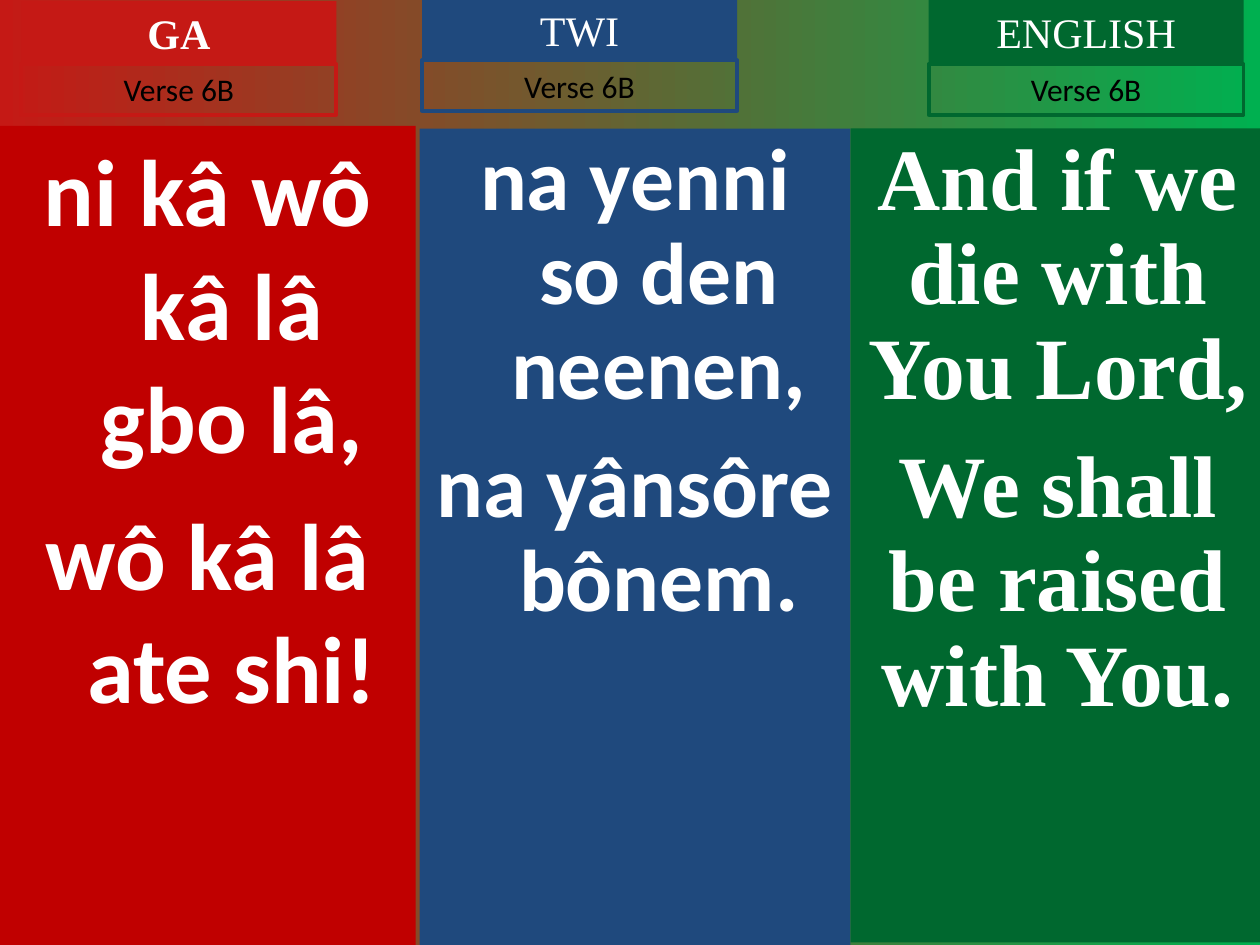
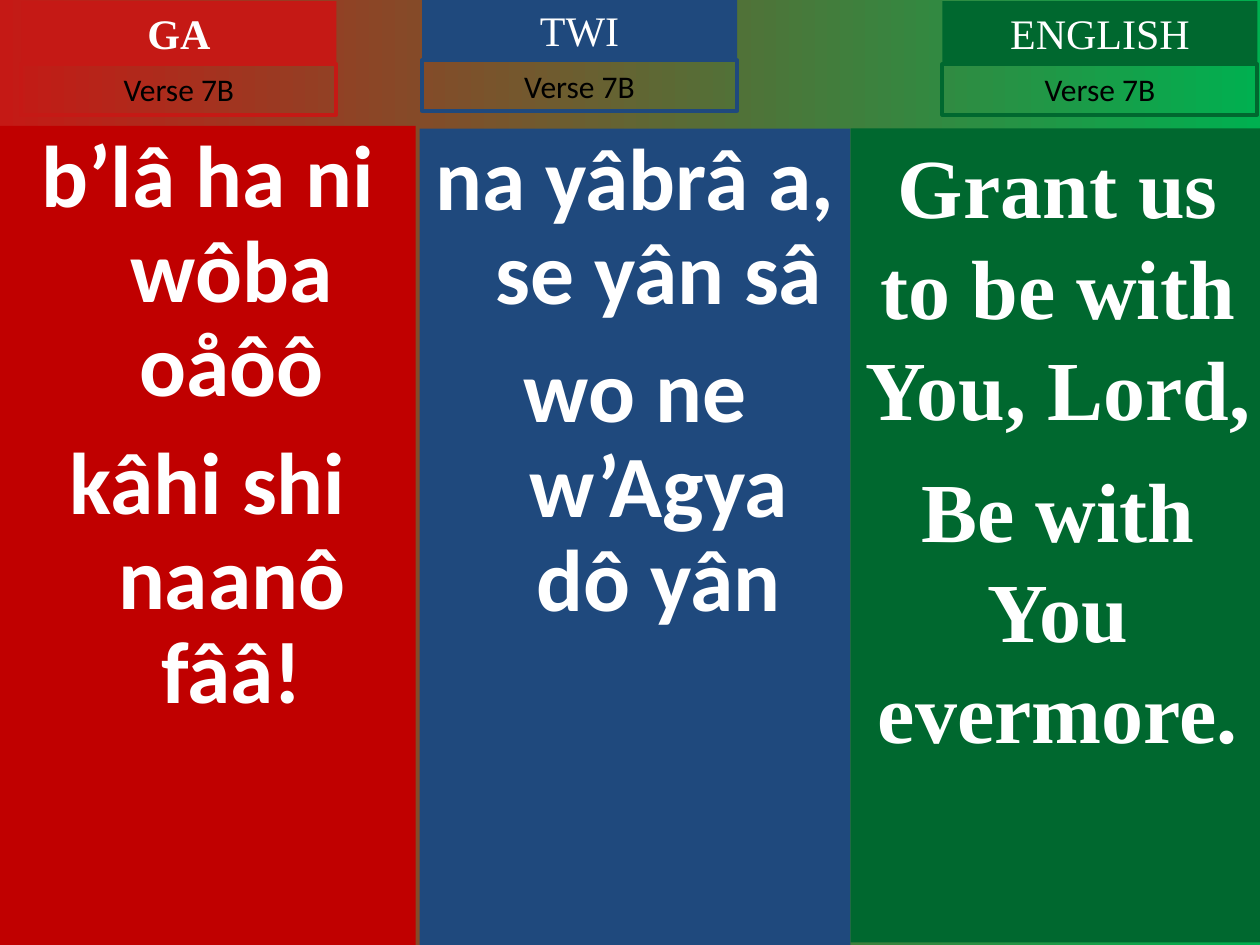
from dataclasses import dataclass

from pptx import Presentation
from pptx.dml.color import RGBColor
from pptx.enum.shapes import MSO_SHAPE
from pptx.enum.text import MSO_ANCHOR, MSO_AUTO_SIZE, PP_ALIGN
from pptx.shapes.autoshape import Shape
from pptx.slide import Slide
from pptx.util import Inches, Pt


@dataclass(frozen=True)
class Theme:
    red: str = "C51915"
    deep_red: str = "C00000"
    blue: str = "1F497D"
    green: str = "00682F"
    bright_green: str = "00B050"
    white: str = "FFFFFF"
    black: str = "000000"
    sans: str = "Calibri"
    serif: str = "Times New Roman"
    heading_size: int = 24
    label_size: int = 18
    border: float = 2.25


THEME = Theme()


@dataclass(frozen=True)
class Box:
    left: float
    top: float
    width: float
    height: float


@dataclass(frozen=True)
class TextStyle:
    font: str
    size: float
    color: str
    bold: bool = False
    hanging: float = 0
    line_spacing: float = 1.0
    space_before: float = 0


@dataclass(frozen=True)
class Language:
    name: str
    panel: Box
    panel_color: str
    tab_color: str
    tab_left: float
    tab_top: float
    label_top: float
    font: str = THEME.sans
    hanging: float = 0
    bold_heading: bool = False


@dataclass(frozen=True)
class Lyrics:
    lines: tuple[str, ...]
    size: int = 50
    line_spacing: float = 0.9
    space_before: float = 13.5


@dataclass(frozen=True)
class Verse:
    label: str
    lyrics: tuple[Lyrics, ...]
    english_left: float
    english_top: float


GA = Language("GA", Box(0, 1, 3.3, 6.5), THEME.deep_red, THEME.red,
              0.17, 0.01, 0.51, hanging=0.38, bold_heading=True)
TWI = Language("TWI", Box(3.33, 1.02, 3.42, 6.48), THEME.blue, THEME.blue,
               3.35, -0.01, 0.48, hanging=0.38)
TAB_WIDTH, TAB_HEIGHT, LABEL_HEIGHT = 2.5, 0.5, 0.4


def english(left: float, top: float) -> Language:
    return Language("ENGLISH", Box(6.75, 1.02, 3.29, 6.46), THEME.green, THEME.green,
                    left, top, 0.51, font=THEME.serif)


VERSES = (
    Verse("Verse 6B", (
        Lyrics(("ni kâ wô kâ lâ gbo lâ,", "wô kâ lâ ate shi!"), 54, 1.0),
        Lyrics(("na yenni so den neenen,", "na yânsôre bônem.")),
        Lyrics(("And if we die with You Lord,", "We shall be raised with You.")),
    ), 7.37, 0),
    Verse("Verse 7B", (
        Lyrics(("b’lâ ha ni wôba oåôô", "kâhi shi naanô fââ!")),
        Lyrics(("na yâbrâ a, se yân sâ", "wo ne w’Agya dô yân")),
        Lyrics(("Grant us to be with You, Lord,", "Be with You evermore."), 48, 1.0, 12),
    ), 7.48, 0.01),
)


def add_box(slide: Slide, box: Box, fill: str = "", border: str = "") -> Shape:
    shape = slide.shapes.add_shape(
        MSO_SHAPE.RECTANGLE, Inches(box.left), Inches(box.top),
        Inches(box.width), Inches(box.height))
    shape.shadow.inherit = False
    if fill:
        shape.fill.solid()
        shape.fill.fore_color.rgb = RGBColor.from_string(fill)
    else:
        shape.fill.background()
    if border:
        shape.line.color.rgb = RGBColor.from_string(border)
        shape.line.width = Pt(THEME.border)
    else:
        shape.line.fill.background()
    return shape


def write(shape: Shape, lines: tuple[str, ...], style: TextStyle, grow: bool = False) -> None:
    frame = shape.text_frame
    frame.word_wrap = True
    frame.vertical_anchor = MSO_ANCHOR.TOP
    if grow:
        frame.auto_size = MSO_AUTO_SIZE.SHAPE_TO_FIT_TEXT
    for index, line in enumerate(lines):
        paragraph = frame.add_paragraph() if index else frame.paragraphs[0]
        paragraph.alignment = PP_ALIGN.CENTER
        paragraph.line_spacing = style.line_spacing
        if index:
            paragraph.space_before = Pt(style.space_before)
        if style.hanging:
            properties = paragraph._p.get_or_add_pPr()
            properties.set("marL", str(Inches(style.hanging)))
            properties.set("indent", str(-Inches(style.hanging)))
        run = paragraph.add_run()
        run.text = line
        run.font.name = style.font
        run.font.size = Pt(style.size)
        run.font.bold = style.bold
        run.font.color.rgb = RGBColor.from_string(style.color)


def paint_background(slide: Slide) -> None:
    fill = slide.background.fill
    fill.gradient()
    fill.gradient_angle = 0
    for stop, color in zip(fill.gradient_stops, (THEME.red, THEME.bright_green)):
        stop.color.rgb = RGBColor.from_string(color)


def add_language(slide: Slide, language: Language, lyrics: Lyrics, label: str) -> None:
    # Lyrics panel
    panel = add_box(slide, language.panel, fill=language.panel_color)
    write(panel, lyrics.lines, TextStyle(
        language.font, lyrics.size, THEME.white, True, language.hanging,
        lyrics.line_spacing, lyrics.space_before))

    # Language heading
    heading = add_box(slide, Box(language.tab_left, language.tab_top, TAB_WIDTH, TAB_HEIGHT),
                      fill=language.tab_color)
    write(heading, (language.name,), TextStyle(
        THEME.serif, THEME.heading_size, THEME.white, language.bold_heading), grow=True)

    # Verse label
    verse_label = add_box(
        slide, Box(language.tab_left, language.label_top, TAB_WIDTH, LABEL_HEIGHT),
        border=language.tab_color)
    write(verse_label, (label,), TextStyle(
        THEME.sans, THEME.label_size, THEME.black), grow=True)


def main() -> None:
    deck = Presentation()
    deck.slide_width, deck.slide_height = Inches(10), Inches(7.5)
    for verse in VERSES:
        slide = deck.slides.add_slide(deck.slide_layouts[6])
        paint_background(slide)
        languages = (GA, TWI, english(verse.english_left, verse.english_top))
        for language, lyrics in zip(languages, verse.lyrics):
            add_language(slide, language, lyrics, verse.label)
    deck.save("out.pptx")


if __name__ == "__main__":
    main()
